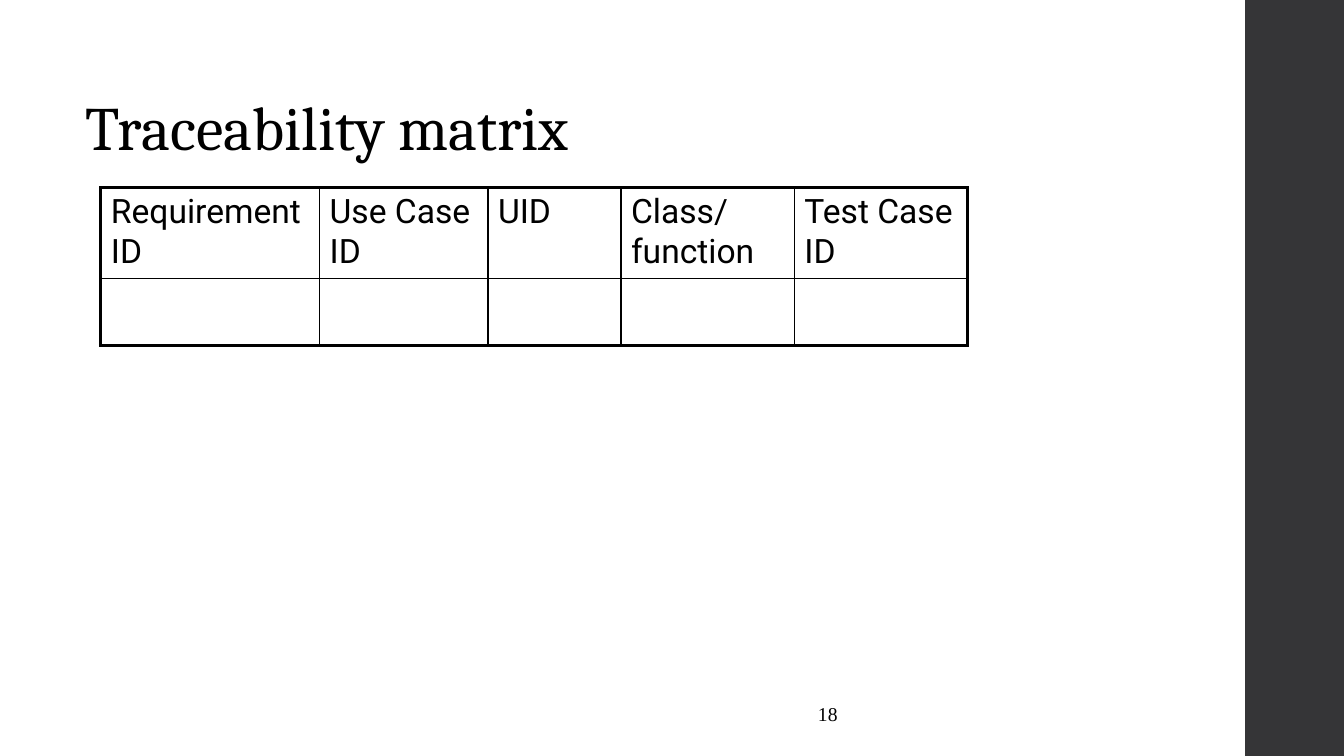
from dataclasses import dataclass

from lxml import etree
from pptx import Presentation
from pptx.dml.color import RGBColor
from pptx.enum.shapes import MSO_SHAPE
from pptx.enum.text import MSO_ANCHOR, MSO_AUTO_SIZE, PP_ALIGN
from pptx.oxml.ns import qn
from pptx.util import Emu, Pt

RECT = MSO_SHAPE.RECTANGLE
MIDDLE = MSO_ANCHOR.MIDDLE
NO_AUTOFIT = MSO_AUTO_SIZE.NONE
LEFT, CENTER = PP_ALIGN.LEFT, PP_ALIGN.CENTER
TITLE_ONLY = 5
SCALE = 9144  # EMU per px, 100 px to the inch


@dataclass(frozen=True)
class Theme:
    ink: str = "000000"
    band: str = "353537"
    title_font: str = "Cambria"
    table_font: str = "Roboto"
    number_font: str = "Times New Roman"
    title_size: int = 44
    table_size: int = 24
    number_size: int = 14
    outer_line: float = 2.25
    inner_line: float = 1


THEME = Theme()
HEADERS = ["Requirement ID", "Use Case ID", "UID", "Class/ function", "Test Case ID"]
COLUMN_WIDTHS = [217, 167, 132, 172, 172]
ROW_HEIGHTS = [90, 67]


def px(*lengths):
    return [Emu(n * SCALE) for n in lengths]


def style_text(p, font, size, align=LEFT):
    p.alignment = align
    for r in p.runs:
        r.font.name = font
        r.font.size = Pt(size)
        r.font.color.rgb = RGBColor.from_string(THEME.ink)


def add_side_band(slide, box):
    s = slide.shapes.add_shape(RECT, *px(*box))
    s.shadow.inherit = False
    s.fill.solid()
    s.fill.fore_color.rgb = RGBColor.from_string(THEME.band)
    s.line.fill.background()


def add_title(slide, box, text):
    s = slide.shapes.title
    s.left, s.top, s.width, s.height = px(*box)
    tf = s.text_frame
    tf.text = text
    tf.word_wrap = True
    tf.auto_size = NO_AUTOFIT
    tf.vertical_anchor = MIDDLE
    p = tf.paragraphs[0]
    p.line_spacing = 0.9
    style_text(p, THEME.title_font, THEME.title_size)


def add_page_number(slide, box, text):
    tf = slide.shapes.add_textbox(*px(*box)).text_frame
    tf.text = text
    tf.word_wrap = True
    tf.vertical_anchor = MIDDLE
    tf.margin_left = tf.margin_right = tf.margin_top = tf.margin_bottom = px(5)[0]
    style_text(tf.paragraphs[0], THEME.number_font, THEME.number_size, CENTER)


def set_borders(cell, outer_sides):
    """Draw all four sides, with the heavier line on the outer ones."""
    tcPr = cell._tc.get_or_add_tcPr()
    for side in "LRTB":
        width = THEME.outer_line if side in outer_sides else THEME.inner_line
        ln = etree.SubElement(tcPr, qn(f"a:ln{side}"), w=str(Pt(width)))
        fill = etree.SubElement(ln, qn("a:solidFill"))
        etree.SubElement(fill, qn("a:srgbClr"), val=THEME.ink)


def add_matrix(slide, left, top):
    rows, cols = len(ROW_HEIGHTS), len(COLUMN_WIDTHS)
    box = px(left, top, sum(COLUMN_WIDTHS), sum(ROW_HEIGHTS))
    table = slide.shapes.add_table(rows, cols, *box).table
    table.first_row = table.horz_banding = False
    for column, width in zip(table.columns, px(*COLUMN_WIDTHS)):
        column.width = width
    for row, height in zip(table.rows, px(*ROW_HEIGHTS)):
        row.height = height

    for i in range(rows):
        for j in range(cols):
            cell = table.cell(i, j)
            edges = {"L": j == 0, "R": j == cols - 1, "T": i == 0, "B": i == rows - 1}
            set_borders(cell, [side for side, outer in edges.items() if outer])
            cell.fill.background()
            cell.margin_left = cell.margin_right = px(10)[0]
            cell.margin_top = cell.margin_bottom = px(5)[0]

    for j, header in enumerate(HEADERS):
        tf = table.cell(0, j).text_frame
        tf.text = header
        style_text(tf.paragraphs[0], THEME.table_font, THEME.table_size)


def main():
    prs = Presentation()
    prs.slide_width, prs.slide_height = px(1333, 750)
    slide = prs.slides.add_slide(prs.slide_layouts[TITLE_ONLY])
    add_side_band(slide, (1235, 0, 98, 750))
    add_page_number(slide, (717, 683, 208, 50), "18")
    add_title(slide, (75, 67, 850, 125), "Traceability matrix")
    add_matrix(slide, 100, 186)
    prs.save("out.pptx")


if __name__ == "__main__":
    main()
